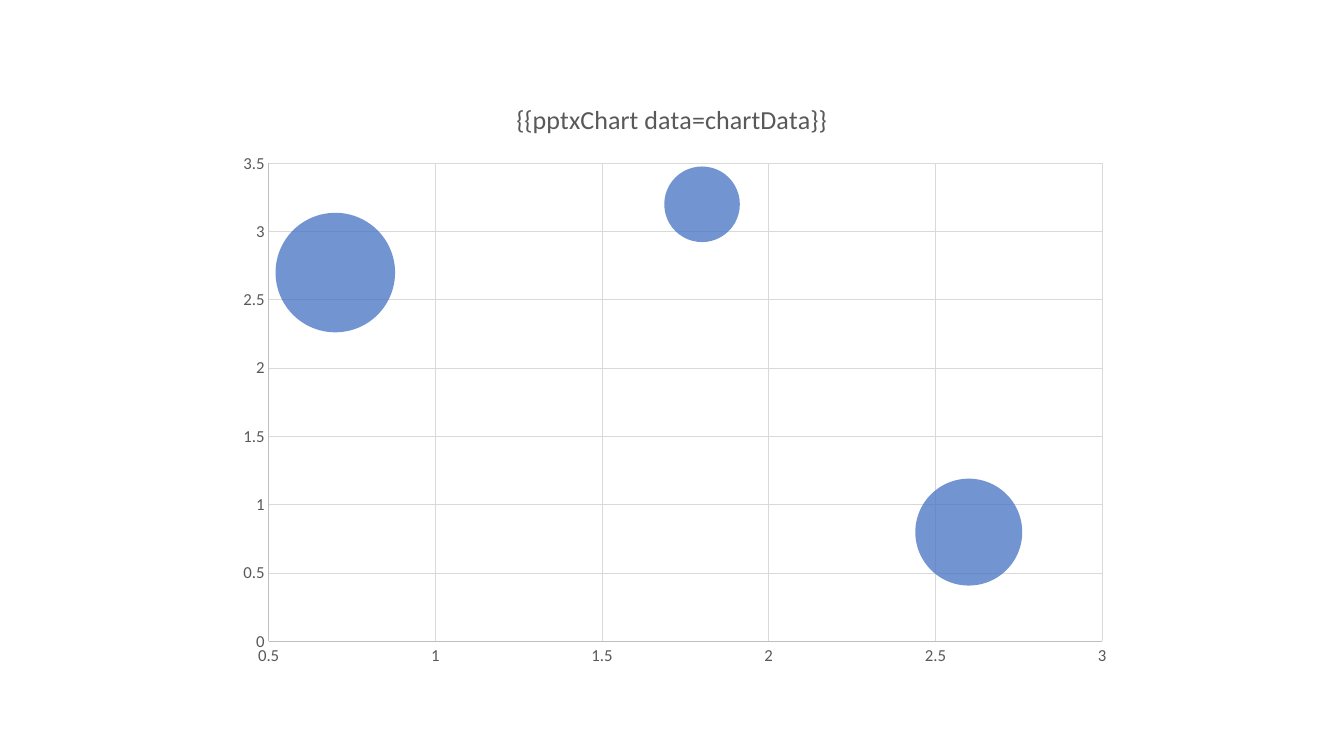
from lxml.etree import SubElement
from pptx import Presentation
from pptx.chart.data import BubbleChartData
from pptx.dml.color import RGBColor
from pptx.enum.chart import XL_CHART_TYPE, XL_TICK_MARK
from pptx.oxml import parse_xml
from pptx.oxml.ns import nsdecls, qn
from pptx.util import Inches, Pt


def rgb(color):
    return RGBColor.from_string(color)


class Deck:
    font = "Calibri"
    text = "595959"
    axis_line = "BFBFBF"
    grid = "D9D9D9"
    bubble = "4472C4"

    def __init__(self):
        self.prs = Presentation()
        self.prs.slide_width = Inches(13.33)
        self.prs.slide_height = Inches(7.5)
        self.s = self.prs.slides.add_slide(self.prs.slide_layouts[6])

    def style_font(self, font, size):
        font.name = self.font
        font.size = Pt(size)
        font.bold = False
        font.color.rgb = rgb(self.text)

    def style_line(self, line, color):
        line.color.rgb = rgb(color)
        line.width = Pt(0.75)

    def style_axis(self, axis, low, high):
        axis.minimum_scale, axis.maximum_scale = low, high
        axis.major_unit = 0.5
        axis.major_tick_mark = axis.minor_tick_mark = XL_TICK_MARK.NONE
        axis.has_major_gridlines = True
        self.style_line(axis.major_gridlines.format.line, self.grid)
        self.style_line(axis.format.line, self.axis_line)
        axis.tick_labels.number_format = "General"
        axis.tick_labels.number_format_is_linked = False
        self.style_font(axis.tick_labels.font, 12)

    def place_plot(self, chart, x, y, w, h):
        plot_area = chart.plots[0]._element.getparent()
        for old in plot_area.findall(qn("c:layout")):
            plot_area.remove(old)
        plot_area.insert(0, parse_xml(
            f'<c:layout {nsdecls("c")}><c:manualLayout>'
            '<c:layoutTarget val="inner"/><c:xMode val="edge"/><c:yMode val="edge"/>'
            f'<c:x val="{x}"/><c:y val="{y}"/><c:w val="{w}"/><c:h val="{h}"/>'
            '</c:manualLayout></c:layout>'))

    def bubble_chart(self, title, points, left, top, width, height):
        data = BubbleChartData()
        series = data.add_series("Series 1")
        for x, y, size in points:
            series.add_data_point(x, y, size)
        chart = self.s.shapes.add_chart(
            XL_CHART_TYPE.BUBBLE, Inches(left), Inches(top),
            Inches(width), Inches(height), data).chart
        chart.has_legend = False
        chart.font.name = self.font
        chart.font.size = Pt(10)

        tf = chart.chart_title.text_frame
        tf.text = title
        self.style_font(tf.paragraphs[0].runs[0].font, 18.6)

        series = chart.plots[0].series[0]
        series.format.fill.solid()
        series.format.fill.fore_color.rgb = rgb(self.bubble)
        series.format.line.fill.background()
        color = series._element.find(qn("c:spPr")).find(
            f'{qn("a:solidFill")}/{qn("a:srgbClr")}')
        SubElement(color, qn("a:alpha")).set("val", "75000")

        self.style_axis(chart.category_axis, 0.5, 3)
        self.style_axis(chart.value_axis, 0, 3.5)
        self.place_plot(chart, 0.05, 0.14, 0.93, 0.8)


def main():
    deck = Deck()
    deck.bubble_chart(
        "{{pptxChart data=chartData}}",
        [(0.7, 2.7, 10), (1.8, 3.2, 4), (2.6, 0.8, 8)],
        2.22, 0.79, 8.89, 5.93)
    deck.prs.save("out.pptx")


if __name__ == "__main__":
    main()
